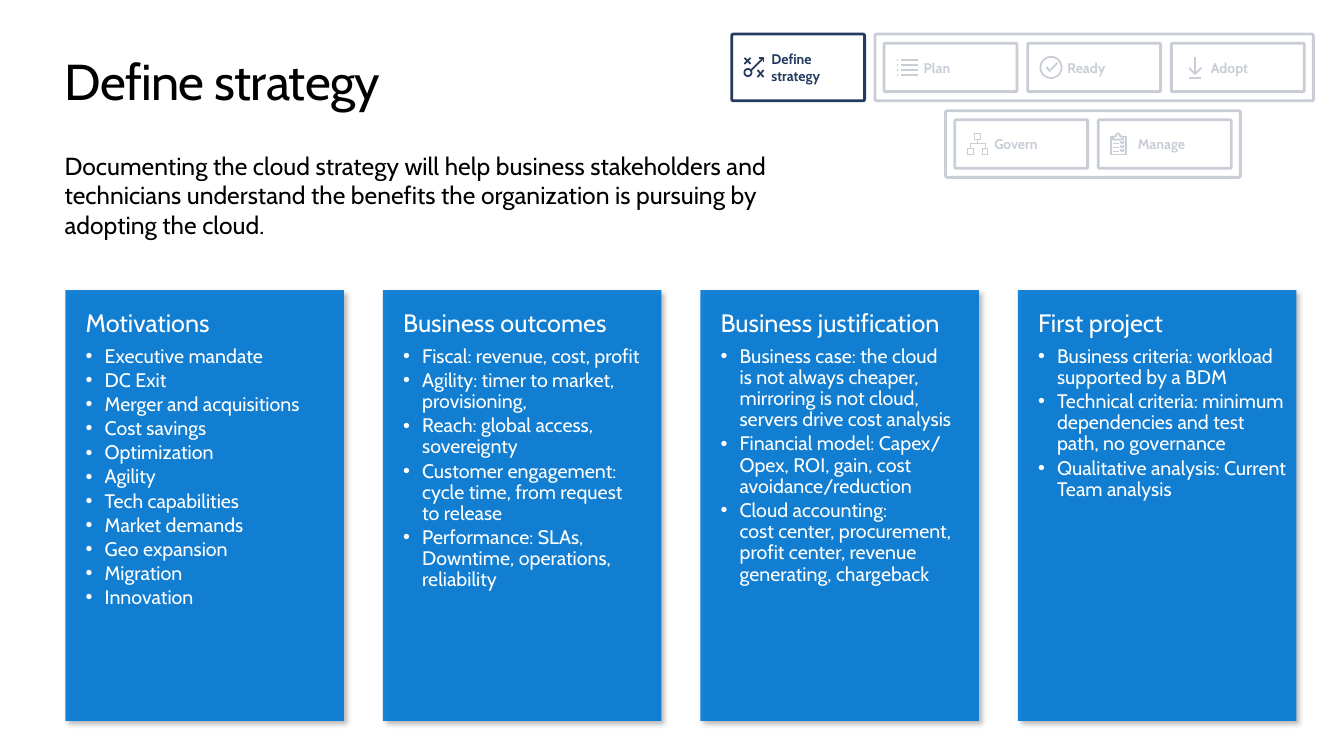
import math

import pptx
import pptx.dml.color
import pptx.enum.shapes
import pptx.enum.text
import pptx.oxml.ns
import pptx.util
from lxml import etree

Cm = pptx.util.Cm
Pt = pptx.util.Pt
RGBColor = pptx.dml.color.RGBColor
SHAPES = pptx.enum.shapes.MSO_SHAPE
ANCHOR = pptx.enum.text.MSO_ANCHOR
ALIGN = pptx.enum.text.PP_ALIGN
qn = pptx.oxml.ns.qn

FONT = "Cabin"
BLACK = RGBColor(0x00, 0x00, 0x00)
WHITE = RGBColor(0xFF, 0xFF, 0xFF)
BLUE = RGBColor(0x00, 0x78, 0xD4)
NAVY = RGBColor(0x24, 0x3A, 0x5E)

TITLE = "Define strategy"
INTRO = (
    "Documenting the cloud strategy will help business stakeholders and technicians "
    "understand the benefits the organization is pursuing by adopting the cloud."
)
CARDS = [
    ("Motivations", [
        "Executive mandate", "DC Exit", "Merger and acquisitions", "Cost savings",
        "Optimization", "Agility", "Tech capabilities", "Market demands",
        "Geo expansion", "Migration", "Innovation",
    ]),
    ("Business outcomes", [
        "Fiscal: revenue, cost, profit",
        "Agility: timer to market, provisioning,",
        "Reach: global access, sovereignty",
        "Customer engagement: cycle time, from request\nto release",
        "Performance: SLAs, Downtime, operations, reliability",
    ]),
    ("Business justification", [
        "Business case: the cloud \nis not always cheaper, mirroring is not cloud, "
        "servers drive cost analysis",
        "Financial model: Capex/\nOpex, ROI, gain, cost avoidance/reduction",
        "Cloud accounting: \ncost center, procurement, profit center, revenue "
        "generating, chargeback",
    ]),
    ("First project", [
        "Business criteria: workload supported by a BDM",
        "Technical criteria: minimum dependencies and test path, no governance",
        "Qualitative analysis: Current Team analysis",
    ]),
]
STAGE_GROUPS = [
    (22.05, 0.86, ["Plan", "Ready", "Adopt"]),
    (23.83, 2.79, ["Govern", "Manage"]),
]


def circle(x, y, radius, steps=36):
    angles = [2 * math.pi * step / steps for step in range(steps + 1)]
    return [(x + radius * math.cos(a), y + radius * math.sin(a)) for a in angles]


def box(left, top, right, bottom):
    return [(left, top), (right, top), (right, bottom), (left, bottom), (left, top)]


ICON_SIZE = 21
ICONS = {
    "Define strategy": [
        [(0, 1), (6, 7)], [(6, 1), (0, 7)], [(19, 20), (13, 13)], [(19, 13), (13, 20)],
        circle(3.5, 15.5, 3.5), [(6, 14), (19, 1)], [(19, 5), (19, 1), (14, 1)],
    ],
    "Plan": [[(x, y), (end, y)] for y in (3, 8, 13, 18) for x, end in ((4, 21), (0, 1))],
    "Ready": [circle(10.5, 10.5, 10.5), [(6, 10), (9, 14), (17, 6)]],
    "Adopt": [[(17, 11), (11, 17), (5, 11)], [(11, 17), (11, 0)], [(5, 21), (17, 21)]],
    "Govern": [
        box(0, 15, 6, 21), box(15, 15, 20, 21), box(7, 0, 13, 6),
        [(10, 6), (10, 10)], [(18, 15), (18, 10), (3, 10), (3, 15)],
    ],
    "Manage": [
        [(2, 3), (0, 3), (0, 21), (15, 21), (15, 3), (12, 3)],
        [(5, 2), (6, 0), (8, 0), (9, 2), (9, 3), (12, 3), (12, 6), (2, 6), (2, 3), (5, 3), (5, 2)],
        *[[(2, y), (8, y)] for y in (10, 14, 18)],
        *[[(9, y - 2), (11, y), (13, y - 2)] for y in (10, 14, 18)],
    ],
}

CARD_LEFT, CARD_TOP, CARD_WIDTH, CARD_HEIGHT, CARD_PITCH = 1.65, 7.31, 7.02, 10.86, 8
STAGE_WIDTH, STAGE_GAP, GROUP_PAD, GROUP_HEIGHT = 3.35, 0.27, 0.23, 1.68
STRATEGY_LEFT, STRATEGY_TOP = 18.44, 0.86
ICON_INSET = 0.32
ICON_UNIT = Cm(2.54) / 100

presentation = pptx.Presentation()
presentation.slide_width = Cm(33.87)
presentation.slide_height = Cm(19.05)
slide = presentation.slides.add_slide(presentation.slide_layouts[5])


def style(paragraph, size, color, bold=False):
    paragraph.alignment = ALIGN.LEFT
    paragraph.font.name = FONT
    paragraph.font.size = Pt(size)
    paragraph.font.bold = bold
    paragraph.font.color.rgb = color


def set_frame(frame, left, top, right, bottom, anchor=ANCHOR.TOP):
    frame.word_wrap = True
    frame.vertical_anchor = anchor
    frame.margin_left, frame.margin_top = Cm(left), Cm(top)
    frame.margin_right, frame.margin_bottom = Cm(right), Cm(bottom)


def add_panel(kind, left, top, width, height, fill=None, opacity=100, outlined=False):
    shape = slide.shapes.add_shape(kind, Cm(left), Cm(top), Cm(width), Cm(height))
    shape.shadow.inherit = False
    if fill is None:
        shape.fill.background()
    else:
        shape.fill.solid()
        shape.fill.fore_color.rgb = fill
        color = shape._element.spPr.find(qn("a:solidFill")).find(qn("a:srgbClr"))
        if opacity < 100:
            etree.SubElement(color, qn("a:alpha"), val=str(opacity * 1000))
    if outlined:
        shape.adjustments[0] = 0.025
        shape.line.color.rgb = NAVY
        shape.line.width = Pt(2)
    else:
        shape.line.fill.background()
    return shape


def add_icon(strokes, left, top):
    scaled = [[(x * ICON_UNIT, y * ICON_UNIT) for x, y in stroke] for stroke in strokes]
    builder = slide.shapes.build_freeform(*scaled[0][0])
    for stroke in scaled:
        builder.move_to(*stroke[0])
        builder.add_line_segments(stroke[1:], close=False)
    icon = builder.convert_to_shape(Cm(left), Cm(top))
    icon.shadow.inherit = False
    icon.fill.background()
    icon.line.color.rgb = NAVY
    icon.line.width = Pt(1.25)


def add_stage(name, left, top, height):
    stage = add_panel(SHAPES.ROUNDED_RECTANGLE, left, top, STAGE_WIDTH, height, WHITE, outlined=True)
    set_frame(stage.text_frame, 0.99, 0, 0.25, 0, ANCHOR.MIDDLE)
    paragraph = stage.text_frame.paragraphs[0]
    paragraph.text = name
    style(paragraph, 10, NAVY, bold=True)
    icon_height = ICON_SIZE * 0.0254
    add_icon(ICONS[name], left + ICON_INSET, top + (height - icon_height) / 2)


def add_card(index, heading, items):
    left = CARD_LEFT + index * CARD_PITCH
    card = add_panel(SHAPES.RECTANGLE, left, CARD_TOP, CARD_WIDTH, CARD_HEIGHT, BLUE, opacity=90)
    effects = card._element.spPr.find(qn("a:effectLst"))
    shadow = etree.SubElement(effects, qn("a:outerShdw"), blurRad=str(Pt(4)), dist=str(Pt(3)),
                              dir="2700000", algn="tl", rotWithShape="0")
    color = etree.SubElement(shadow, qn("a:srgbClr"), val=str(BLACK))
    etree.SubElement(color, qn("a:alpha"), val="30000")
    frame = card.text_frame
    set_frame(frame, 0.51, 0.51, 0.25, 0)
    for position, text in enumerate([heading] + items):
        paragraph = frame.add_paragraph() if position else frame.paragraphs[0]
        paragraph.text = text
        paragraph.line_spacing = 0.9
        paragraph.space_after = Pt(2.1 if position else 6.3)
        if position:
            properties = paragraph._p.get_or_add_pPr()
            properties.set("marL", str(Cm(0.48)))
            properties.set("indent", str(-Cm(0.48)))
            etree.SubElement(properties, qn("a:buFont"), typeface="Arial")
            etree.SubElement(properties, qn("a:buChar"), char="•")
        style(paragraph, 14 if position else 18, WHITE)


title = slide.shapes.title
title.left, title.top, title.width, title.height = Cm(1.63), Cm(1.27), Cm(30.6), Cm(1.55)
set_frame(title.text_frame, 0, 0, 0, 0)
title.text_frame.text = TITLE
title_paragraph = title.text_frame.paragraphs[0]
style(title_paragraph, 36, BLACK)
title_paragraph.runs[0]._r.get_or_add_rPr().set("spc", "-50")

intro = slide.shapes.add_textbox(Cm(1.63), Cm(3.66), Cm(18.97), Cm(2.51))
set_frame(intro.text_frame, 0, 0.13, 0.25, 0.13)
intro.text_frame.text = INTRO
style(intro.text_frame.paragraphs[0], 17.6, BLACK)

for index, (heading, items) in enumerate(CARDS):
    add_card(index, heading, items)

add_stage("Define strategy", STRATEGY_LEFT, STRATEGY_TOP, GROUP_HEIGHT)
for left, top, names in STAGE_GROUPS:
    pitch = STAGE_WIDTH + STAGE_GAP
    width = 2 * GROUP_PAD + len(names) * pitch - STAGE_GAP
    add_panel(SHAPES.ROUNDED_RECTANGLE, left, top, width, GROUP_HEIGHT, outlined=True)
    for index, name in enumerate(names):
        add_stage(name, left + GROUP_PAD + index * pitch, top + GROUP_PAD, GROUP_HEIGHT - 2 * GROUP_PAD)
add_panel(SHAPES.RECTANGLE, 21.92, 0.38, 11.58, 4.5, WHITE, opacity=75)

presentation.save("out.pptx")
